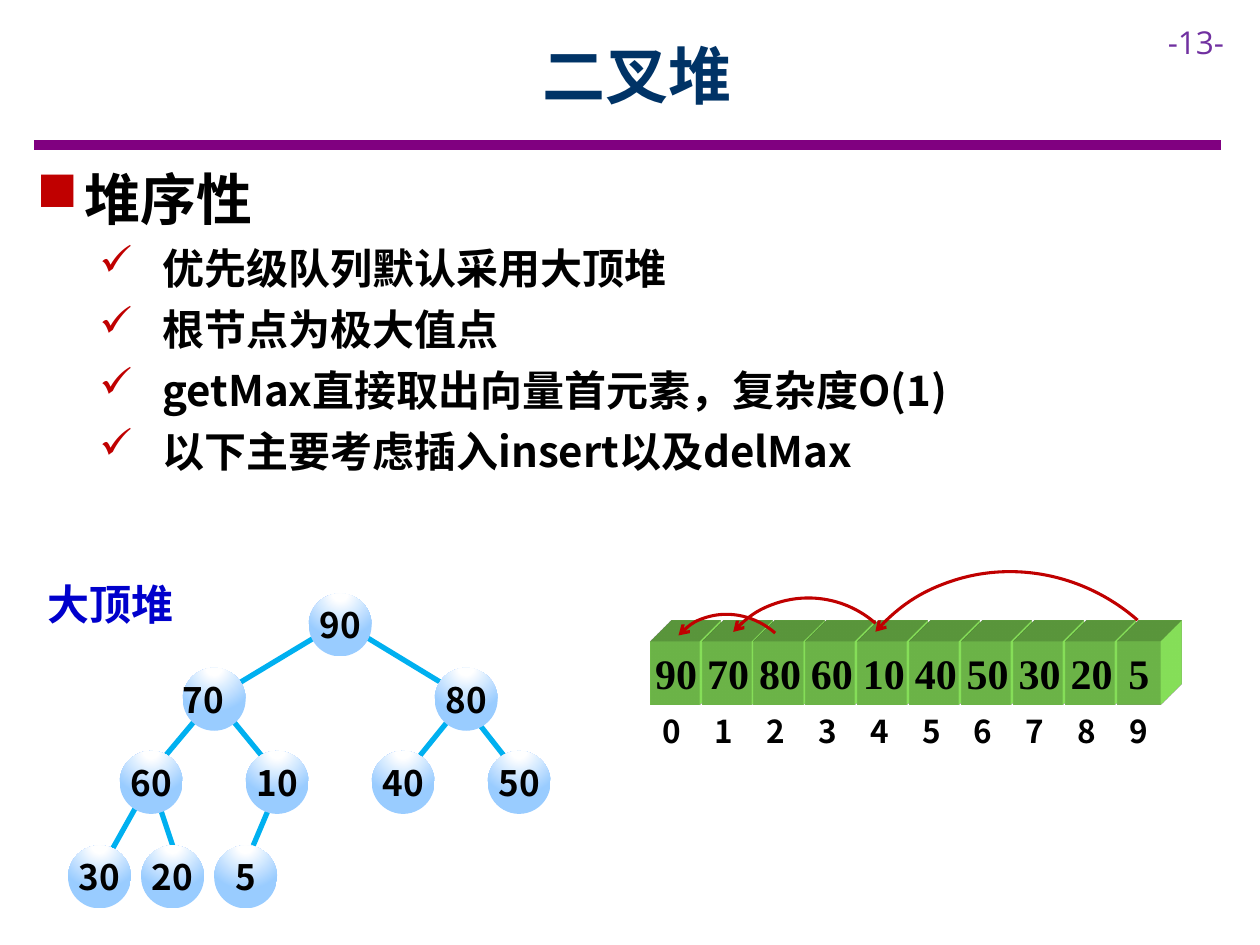
from lxml.etree import fromstring
from pptx import Presentation
from pptx.dml.color import RGBColor
from pptx.enum.shapes import MSO_CONNECTOR, MSO_SHAPE
from pptx.enum.text import MSO_ANCHOR, MSO_AUTO_SIZE, PP_ALIGN
from pptx.oxml.ns import qn
from pptx.util import Inches, Pt

# The page is a grid of 100 columns by 75 rows
CELL = Inches(0.1)
CJK, SANS, SERIF = "Noto Sans CJK SC", "Open Sans", "Times New Roman"
DRAWING = 'xmlns:a="http://schemas.openxmlformats.org/drawingml/2006/main"'
COLORS = {
    "ink": "000000", "title": "003366", "rule": "800080", "number": "7030A0",
    "accent": "C00000", "label": "0000CC", "edge": "00B0F0",
    "node": "99CCFF", "shine": "FFFFFF", "cell": "99FF66", "cell_line": "FFFFFF",
}

POINTS = ["优先级队列默认采用大顶堆", "根节点为极大值点",
          "getMax直接取出向量首元素，复杂度O(1)", "以下主要考虑插入insert以及delMax"]
HEAP = [90, 70, 80, 60, 10, 40, 50, 30, 20, 5]
LEVEL_TOPS = [47.1, 53, 59.6, 67.1]
NODE_LEFTS = [24.5, 14.5, 34.5, 9.5, 19.5, 29.5, 38.7, 5.4, 11.2, 17]
EDGES = [  # start column, start row, end column, end row
    (37.5, 56.8, 40.8, 61), (36.3, 56.3, 32.5, 61), (17.5, 56, 21.2, 60.5),
    (15.8, 56.8, 11.6, 61.8), (28.3, 50.1, 36.2, 54.9), (25.8, 50.1, 17.5, 55.1),
    (22, 62.6, 20.1, 67.1), (12.5, 63.5, 14, 68), (11.6, 62.6, 8.8, 67.6),
]
ARCS = [(52.9, 48.5, 10.4, 11.3), (56.3, 47.4, 15.9, 16.1), (66.4, 45, 28.8, 30.1)]


def grid(*cells):
    return [round(cell * CELL) for cell in cells]


def color(name):
    return RGBColor.from_string(COLORS[name])


def xml(markup):
    return fromstring(markup.replace(">", f" {DRAWING}>", 1))


def write(para, text, size=18, font=CJK, ink="ink", bold=True, align=PP_ALIGN.LEFT):
    para.alignment = align
    span = para.add_run()
    span.text = text
    span.font.size, span.font.bold, span.font.name = Pt(size), bold, font
    span.font.color.rgb = color(ink)
    span.font._element.find(qn("a:latin")).addnext(xml(f'<a:ea typeface="{font}"></a:ea>'))


def add_bullet(para, mark, margin, hanging):
    props = para._p.get_or_add_pPr()
    props.set("marL", str(Inches(margin)))
    props.set("indent", str(-Inches(hanging)))
    props.append(xml(f'<a:buClr><a:srgbClr val="{COLORS["accent"]}"/></a:buClr>'))
    props.append(xml(f'<a:buChar char="{mark}"></a:buChar>'))


def add_text(page, area, text="", wrap=True, **style):
    box = page.shapes.add_textbox(*grid(*area))
    box.text_frame.word_wrap = wrap
    box.text_frame.auto_size = MSO_AUTO_SIZE.SHAPE_TO_FIT_TEXT
    if text:
        write(box.text_frame.paragraphs[0], text, **style)
    return box


def add_line(page, ends, ink, weight):
    line = page.shapes.add_connector(MSO_CONNECTOR.STRAIGHT, *grid(*ends))
    line.line.color.rgb, line.line.width = color(ink), Pt(weight)
    line._element.spPr.append(xml("<a:effectLst></a:effectLst>"))


def add_preset(page, kind, area, inset=(0, 0)):
    shape = page.shapes.add_shape(kind, *grid(*area))
    shape.shadow.inherit = False
    frame = shape.text_frame
    frame.word_wrap, frame.vertical_anchor = False, MSO_ANCHOR.MIDDLE
    frame.margin_left = frame.margin_right = Inches(inset[0])
    frame.margin_top = frame.margin_bottom = Inches(inset[1])
    return shape


def add_node(page, left, top, text):
    node = add_preset(page, MSO_SHAPE.OVAL, (left, top, 5, 5), (0, 0.05))
    node.line.fill.background()
    stops = [(0, "shine"), (18, "shine"), (100, "node")]
    stop_list = "".join(f'<a:gs pos="{share * 1000}"><a:srgbClr val="{COLORS[name]}"/></a:gs>'
                        for share, name in stops)
    node._element.spPr.find(qn("a:prstGeom")).addnext(xml(
        f'<a:gradFill><a:gsLst>{stop_list}</a:gsLst><a:path path="circle">'
        '<a:fillToRect l="50000" t="-80000" r="50000" b="180000"/></a:path></a:gradFill>'))
    write(node.text_frame.paragraphs[0], text, size=20, align=PP_ALIGN.CENTER)


def add_block(page, area, text, align):
    block = add_preset(page, MSO_SHAPE.RECTANGLE, area, (0.04, 0.04))
    block.fill.solid()
    block.fill.fore_color.rgb = color("cell")
    block.line.color.rgb, block.line.width = color("cell_line"), Pt(1.5)
    # Oblique extrusion to the top right
    props = block._element.spPr
    props.append(xml('<a:scene3d><a:camera prst="legacyObliqueTopRight"/>'
                     '<a:lightRig rig="legacyFlat3" dir="b"/></a:scene3d>'))
    props.append(xml('<a:sp3d extrusionH="430200" prstMaterial="legacyMatte"><a:extrusionClr>'
                     f'<a:srgbClr val="{COLORS["cell"]}"/></a:extrusionClr></a:sp3d>'))
    write(block.text_frame.paragraphs[0], text, size=24, font=SERIF, align=align)


def add_arc(page, area):
    arc = add_preset(page, MSO_SHAPE.ARC, area)
    arc.rotation = 311.2
    arc.fill.background()
    arc.line.color.rgb, arc.line.width = color("accent"), Pt(1.75)
    arc.line._get_or_add_ln().append(xml('<a:headEnd type="arrow"></a:headEnd>'))


def add_header(page):
    add_line(page, (2.7, 11.5, 96.9, 11.5), "rule", 6)
    add_text(page, (91.7, 1.3, 8.3, 4), "-13-", font=SANS, ink="number", bold=False)
    title = add_text(page, (9, 0.9, 83.1, 10), "二叉堆", size=36, ink="title",
                     align=PP_ALIGN.CENTER)
    title.text_frame.auto_size = MSO_AUTO_SIZE.NONE
    title.text_frame.vertical_anchor = MSO_ANCHOR.MIDDLE


def add_outline(page):
    frame = add_text(page, (1.9, 12.6, 92.2, 25.9)).text_frame
    rows = [("堆序性", 32, "■", 0.38, 0.38)] + [(text, 24, "✓", 1, 0.5) for text in POINTS]
    for index, (text, size, mark, margin, hanging) in enumerate(rows):
        para = frame.add_paragraph() if index else frame.paragraphs[0]
        para.level = min(index, 1)
        para.line_spacing, para.space_after = Pt(size * 1.2), Pt(6)
        write(para, text, size=size)
        add_bullet(para, mark, margin, hanging)


def add_tree(page):
    for ends in EDGES:
        add_line(page, ends, "edge", 3)
    for index, (value, left) in enumerate(zip(HEAP, NODE_LEFTS)):
        level = (index + 1).bit_length() - 1
        text = f"{value}\t" if value == 70 else str(value)
        add_node(page, left, LEVEL_TOPS[level], text)
    add_text(page, (2.8, 45.4, 12.2, 5), "大顶堆", wrap=False, size=24, ink="label")


def add_array(page):
    lefts = [51.6 + 4.12 * index for index in range(len(HEAP))]
    for left, value in zip(lefts, HEAP):
        width, align = (3.9, PP_ALIGN.LEFT) if value > 9 else (3.4, PP_ALIGN.CENTER)
        add_block(page, (left, 50.9, width, 5), str(value), align)
    for index, left in enumerate(lefts):
        add_text(page, (left, 56, 3.6, 4), str(index), wrap=False)
    for area in ARCS:
        add_arc(page, area)


def main():
    deck = Presentation()
    deck.slide_width, deck.slide_height = grid(100, 75)
    page = deck.slides.add_slide(deck.slide_layouts[6])
    add_header(page)
    add_outline(page)
    add_tree(page)
    add_array(page)
    deck.save("out.pptx")


if __name__ == "__main__":
    main()
